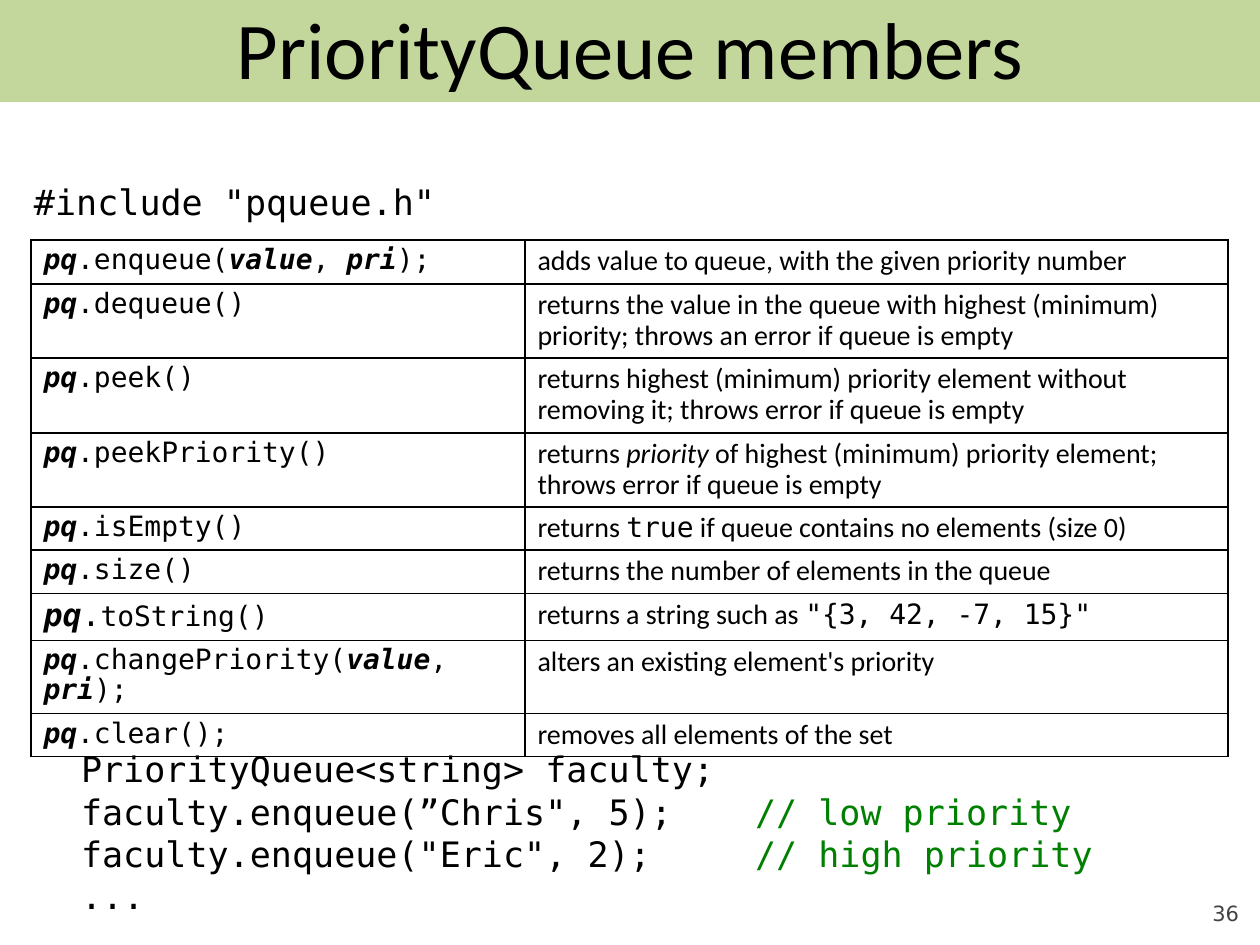
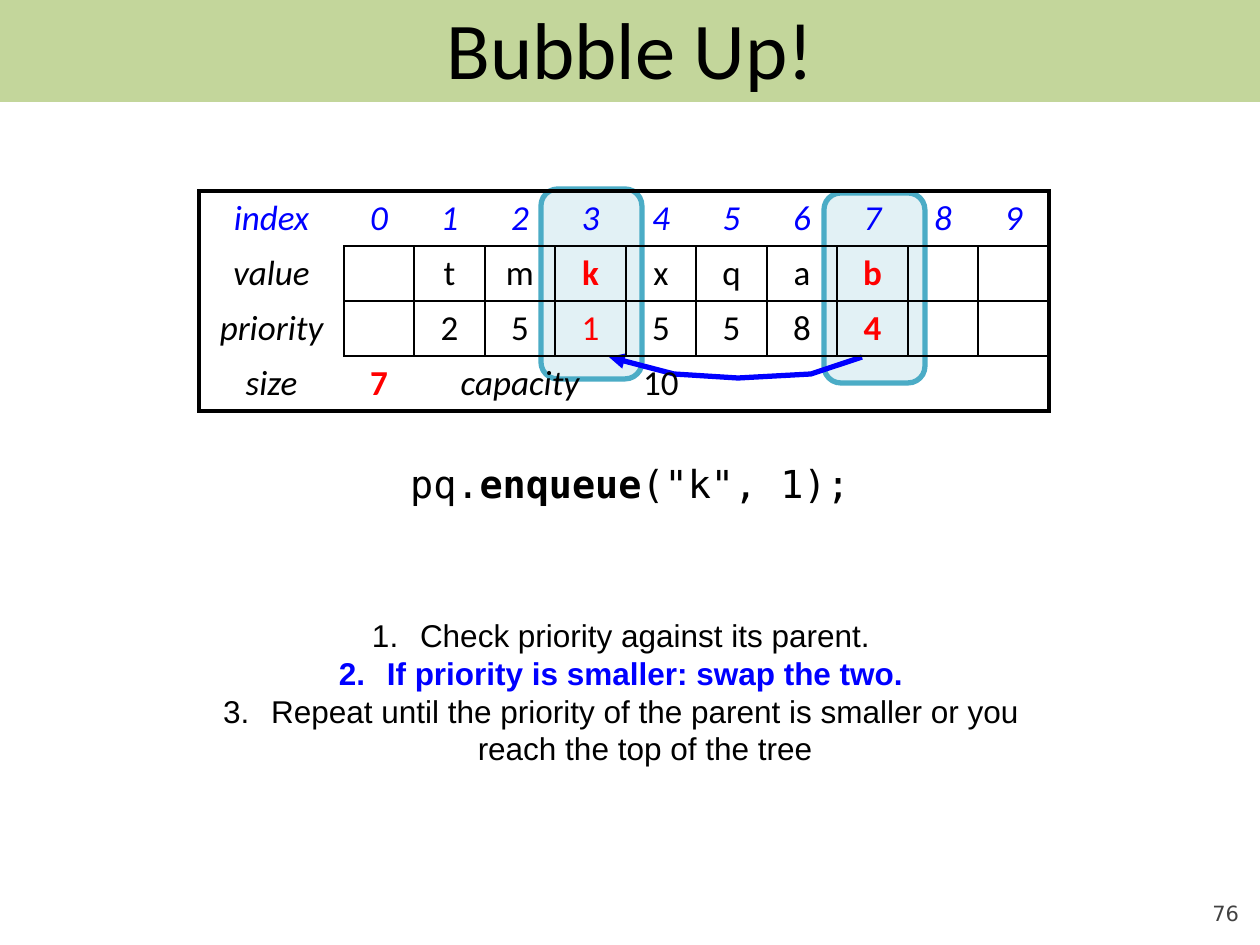
"""Build two lecture slides on priority queues: member functions and bubbling up."""
import lxml.etree
import pptx
import pptx.dml.color
import pptx.enum.shapes
import pptx.enum.text
import pptx.oxml.ns
import pptx.util

PX = pptx.util.Inches(1) / 126
RGB = pptx.dml.color.RGBColor.from_string
QN = pptx.oxml.ns.qn
SHAPE = pptx.enum.shapes.MSO_SHAPE
ALIGN = pptx.enum.text.PP_ALIGN
ANCHOR = pptx.enum.text.MSO_ANCHOR

BAND, BLACK, GREY, BLUE, RED, GREEN = "C3D69B", "000000", "424242", "0000FF", "FF0000", "008000"
CALIBRI = {"name": "Calibri", "bold": False, "italic": False, "color": BLACK}
MONO = {**CALIBRI, "name": "DejaVu Sans Mono"}
CENTER = {"alignment": ALIGN.CENTER}


def write(tf, paras, para, font):
    tf.word_wrap = True
    for i, runs in enumerate(paras):
        p = tf.add_paragraph() if i else tf.paragraphs[0]
        for key, value in para.items():
            setattr(p, key, value)
        for text, changes in runs:
            r = p.add_run()
            r.text = text
            for key, value in {**font, **changes}.items():
                if key == "color":
                    r.font.color.rgb = RGB(value)
                else:
                    setattr(r.font, key, value)


def add_text(s, box, paras, para, font, anchor=ANCHOR.TOP, inset=0):
    sp = s.shapes.add_textbox(*[round(v * PX) for v in box])
    tf = sp.text_frame
    for side in ("left", "top", "right", "bottom"):
        setattr(tf, f"margin_{side}", round(inset * PX))
    tf.vertical_anchor = anchor
    write(tf, paras, para, font)
    return tf


prs = pptx.Presentation()
prs.slide_width, prs.slide_height = round(1260 * PX), round(945 * PX)

slides = []
for title, number in (("PriorityQueue members", "36"), ("Bubble Up!", "76")):
    s = prs.slides.add_slide(prs.slide_layouts[6])
    sp = s.shapes.add_shape(SHAPE.RECTANGLE, 0, 0, prs.slide_width, round(102 * PX))
    sp.shadow.inherit = False
    sp.fill.solid()
    sp.fill.fore_color.rgb = RGB(BAND)
    sp.line.fill.background()
    add_text(s, (63, 0, 1134, 94), [[(title, {})]], CENTER,
             {**CALIBRI, "size": pptx.util.Pt(46)}, ANCHOR.MIDDLE, 6)
    add_text(s, (1134, 876, 105, 50), [[(number, {})]], {"alignment": ALIGN.RIGHT},
             {"name": "DejaVu Sans", "size": pptx.util.Pt(12), "color": GREY}, ANCHOR.BOTTOM)
    slides.append(s)
members, bubble = slides

code = {**MONO, "size": pptx.util.Pt(20)}
add_text(members, (34, 180, 1190, 42), [[('#include "pqueue.h"', {})]], {}, code)
note = {"color": GREEN}
tf = add_text(members, (81, 748, 1150, 166), [
    [("PriorityQueue<string> faculty;", {})],
    [('faculty.enqueue(”Chris", 5);\t', {}), ("// low priority", note)],
    [('faculty.enqueue("Eric", 2);\t', {}), ("// high priority", note)],
    [("...", {})],
], {}, code)
for p in tf.paragraphs:
    tabs = lxml.etree.SubElement(p._p.get_or_add_pPr(), QN("a:tabLst"))
    lxml.etree.SubElement(tabs, QN("a:tab"), pos=str(round(674 * PX)), algn="l")

add_text(bubble, (21, 460, 1218, 50),
         [[("pq.", {}), ("enqueue", {"bold": True}), ('("k", 1);', {})]],
         CENTER, {**MONO, "size": pptx.util.Pt(22)})
tf = add_text(bubble, (193, 610, 856, 165), [
    [("Check priority against its parent.", {})],
    [("If priority is smaller: swap the two.", {"color": BLUE, "bold": True})],
    [("Repeat until the priority of the parent is smaller or you reach the top of the tree", {})],
], CENTER, {"name": "Arial", "size": pptx.util.Pt(18), "color": BLACK}, inset=12)
tf.margin_top = tf.margin_bottom = round(6 * PX)
for p in tf.paragraphs:
    pPr = p._p.get_or_add_pPr()
    pPr.set("marL", str(round(48 * PX)))
    pPr.set("indent", str(round(-48 * PX)))
    lxml.etree.SubElement(pPr, QN("a:buFont"), typeface="+mj-lt")
    lxml.etree.SubElement(pPr, QN("a:buAutoNum"), type="arabicPeriod")

for left, top in ((824, 193), (541, 189)):
    sp = bubble.shapes.add_shape(SHAPE.ROUNDED_RECTANGLE,
                                 *[round(v * PX) for v in (left, top, 101, 190)])
    sp.shadow.inherit = False
    sp.fill.solid()
    sp.fill.fore_color.rgb = RGB("B7DEE8")
    clr = sp._element.spPr.find(QN("a:solidFill"))[0]
    lxml.etree.SubElement(clr, QN("a:alpha"), val="40000")
    sp.line.color.rgb = RGB("4BACC6")
    sp.line.width = pptx.util.Pt(3)

builder = bubble.shapes.build_freeform(862, 357, scale=PX)
builder.add_line_segments([(811, 374), (738, 378), (674, 374), (609, 357)], close=False)
sp = builder.convert_to_shape()
sp.shadow.inherit = False
sp.fill.background()
sp.line.color.rgb = RGB(BLUE)
sp.line.width = pptx.util.Pt(3)
lxml.etree.SubElement(sp.line._get_or_add_ln(), QN("a:tailEnd"), type="triangle")

key = {**MONO, "bold": True, "italic": True}
large = {"size": pptx.util.Pt(18)}
pq, value, pri, comma, end = ("pq", key), ("value", key), ("pri", key), (", ", MONO), (");", MONO)
member_rows = [
    ([pq, (".enqueue(", MONO), value, comma, pri, end],
     [("adds value to queue, with the given priority number", {})]),
    ([pq, (".dequeue()", MONO)],
     [("returns the value in the queue with highest (minimum) priority; "
       "throws an error if queue is empty", {})]),
    ([pq, (".peek()", MONO)],
     [("returns highest (minimum) priority element without removing it; "
       "throws error if queue is empty", {})]),
    ([pq, (".peekPriority()", MONO)],
     [("returns ", {}), ("priority", {"italic": True}),
      (" of highest (minimum) priority element; throws error if queue is empty", {})]),
    ([pq, (".isEmpty()", MONO)],
     [("returns ", {}), ("true", MONO), (" if queue contains no elements (size 0)", {})]),
    ([pq, (".size()", MONO)], [("returns the number of elements in the queue", {})]),
    ([("pq", {**key, **large}), (".", {**MONO, **large}), ("toString()", MONO)],
     [("returns a string such as ", {}), ('"{3, 42, -7, 15}"', MONO)]),
    ([pq, (".changePriority(", MONO), value, comma, pri, end],
     [("alters an existing element's priority", {})]),
    ([pq, (".clear();", MONO)], [("removes all elements of the set", {})]),
]

label = {"italic": True}
index = {"italic": True, "color": BLUE}
red = {"color": RED}
hot = {"color": RED, "bold": True}
heap_rows = [
    [[(t, index)] for t in ("index", *"0123456789")],
    [[("value", label)], [], *[[(t, hot if t in "kb" else {})] for t in "tmkxqab"], [], []],
    [[("priority", label)], [],
     *[[(t, {"1": red, "4": hot}.get(t, {}))] for t in "2515584"], [], []],
    [[("size", label)], [("7", hot)], [("capacity", label)], [], [], [("10", {})],
     *[[]] * 5],
]

tables = [
    dict(s=members, at=(31, 240), cols=[494, 703], heights=[44, 74, 75, 74, 43, 44, 45, 71, 43],
         rows=member_rows, para={"line_spacing": 0.9}, size=16, frame=1,
         ruled_rows=range(9), ruled_cols=range(2)),
    dict(s=bubble, at=(199, 191), cols=[145] + [70, 71] * 5, heights=[55] * 4,
         rows=heap_rows, para=CENTER, size=20, frame=2.25,
         ruled_rows=(1, 2), ruled_cols=range(1, 11)),
]
for t in tables:
    last_row, last_col = len(t["heights"]) - 1, len(t["cols"]) - 1
    box = (*t["at"], sum(t["cols"]), sum(t["heights"]))
    table = t["s"].shapes.add_table(last_row + 1, last_col + 1,
                                    *[round(v * PX) for v in box]).table
    table.first_row = table.horz_banding = False
    for column, width in zip(table.columns, t["cols"]):
        column.width = round(width * PX)
    for r, runs_by_col in enumerate(t["rows"]):
        table.rows[r].height = round(t["heights"][r] * PX)
        for c, runs in enumerate(runs_by_col):
            cell = table.cell(r, c)
            write(cell.text_frame, [runs], t["para"],
                  {**CALIBRI, "size": pptx.util.Pt(t["size"])})
            across, down = int(c in t["ruled_cols"]), int(r in t["ruled_rows"])
            edges = {
                "L": down if c else t["frame"],
                "R": down if c < last_col else t["frame"],
                "T": across if r else t["frame"],
                "B": across if r < last_row else t["frame"],
            }
            tcPr = cell._tc.get_or_add_tcPr()
            for side, width in edges.items():
                ln = lxml.etree.SubElement(tcPr, QN(f"a:ln{side}"), w=str(pptx.util.Pt(width)))
                fill = lxml.etree.SubElement(ln, QN("a:solidFill" if width else "a:noFill"))
                if width:
                    lxml.etree.SubElement(fill, QN("a:srgbClr"), val=BLACK)
            cell.fill.background()
table.cell(3, 2).merge(table.cell(3, 4))

prs.save("out.pptx")
